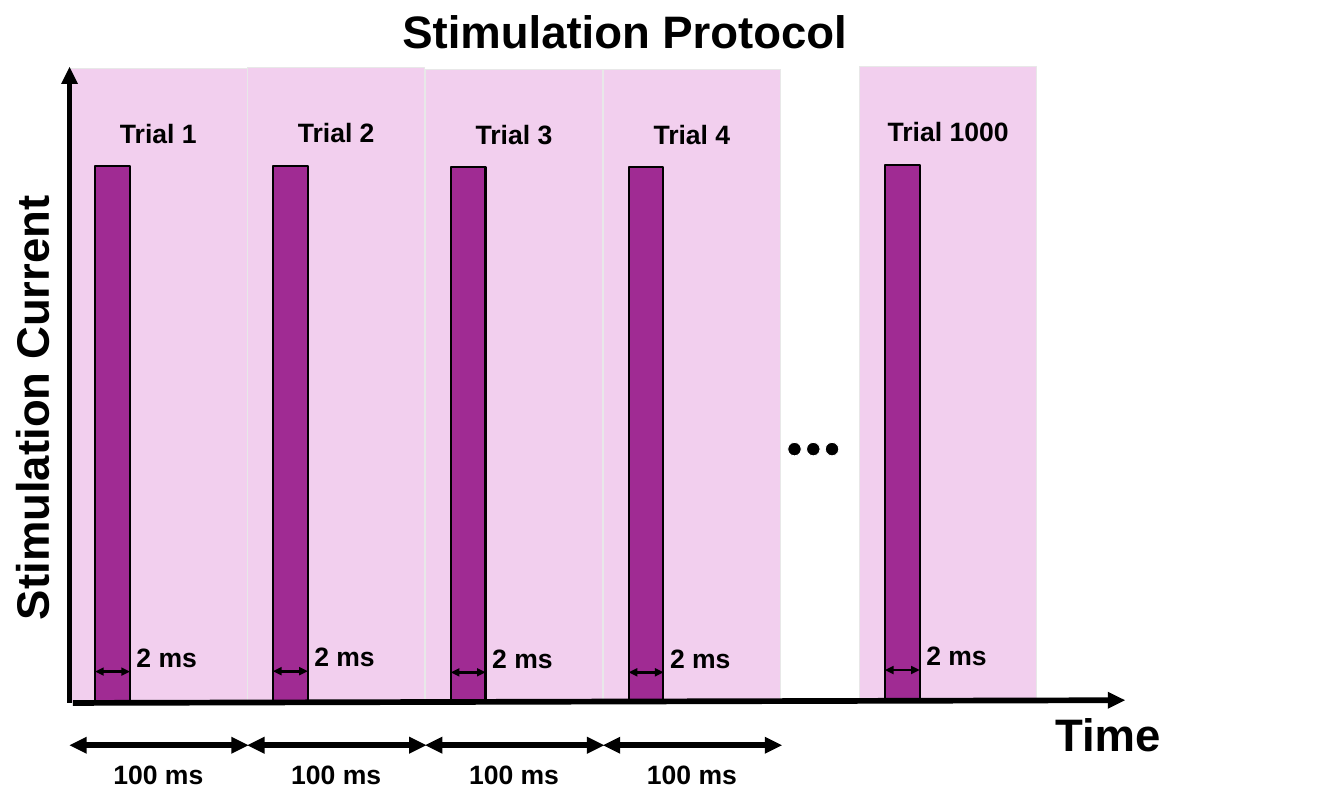
from dataclasses import dataclass
from lxml.etree import SubElement
from pptx import Presentation
from pptx.dml.color import RGBColor as RGB
from pptx.enum.shapes import MSO_CONNECTOR as LINE, MSO_SHAPE as SHAPE
from pptx.enum.text import MSO_ANCHOR as ANCHOR, MSO_AUTO_SIZE as FIT, PP_ALIGN as ALIGN
from pptx.oxml.ns import qn
from pptx.util import Pt

TITLE = "Stimulation Protocol"
CURRENT = "Stimulation Current"
TIME = "Time"
PULSE = "2 ms"
PERIOD = "100 ms"
# label, top of its band
TRIALS = [("Trial 1", 72), ("Trial 2", 71.6), ("Trial 3", 72.8), ("Trial 4", 72.8)]
LAST = ("Trial 1000", 70.4)


@dataclass(frozen=True)
class Theme:
    font: str = "Arial"
    big: int = 48
    small: int = 28
    ink: RGB = RGB(0, 0, 0)
    paper: RGB = RGB(255, 255, 255)
    band: RGB = RGB(0xF2, 0xCF, 0xEE)
    edge: RGB = RGB(0xE8, 0xE8, 0xE8)
    bar: RGB = RGB(0xA0, 0x2B, 0x93)


LOOK = Theme()
WIDE, HIGH = 1417.68, 850.32
LEFT, STEP, BAND, TALL = 73.4, 187.6, 187.2, 669
BAR_X, BAR_Y, BAR_W, BAR_H = 27, 103.5, 36.6, 565.2
LAST_X = 906.5
BASE = 741.6
SPAN_Y = 786.2

deck = Presentation()
deck.slide_width, deck.slide_height = Pt(WIDE), Pt(HIGH)
slide = deck.slides.add_slide(deck.slide_layouts[5])


def place(box, x, y, w, h):
    box.left, box.top, box.width, box.height = Pt(x), Pt(y), Pt(w), Pt(h)


def style(box, text, size):
    frame = box.text_frame
    frame.text = text
    frame.word_wrap = False
    frame.auto_size = FIT.NONE
    frame.vertical_anchor = ANCHOR.TOP
    line = frame.paragraphs[0]
    line.alignment = ALIGN.CENTER
    font = line.runs[0].font
    font.name, font.size, font.bold = LOOK.font, Pt(size), True
    font.color.rgb = LOOK.ink


def label(text, mid, y, w, size=LOOK.small):
    """Add a text box centred on mid."""
    high = 65.5 if size == LOOK.big else 41
    box = slide.shapes.add_textbox(Pt(mid - w / 2), Pt(y), Pt(w), Pt(high))
    style(box, text, size)
    return box


def block(kind, x, y, w, h, fill, edge, width=1):
    item = slide.shapes.add_shape(kind, Pt(x), Pt(y), Pt(w), Pt(h))
    item.shadow.inherit = False
    item.fill.solid()
    item.fill.fore_color.rgb = fill
    item.line.color.rgb = edge
    item.line.width = Pt(width)


def arrow(x1, y1, x2, y2, width=6, both=False):
    item = slide.shapes.add_connector(LINE.STRAIGHT, Pt(x1), Pt(y1), Pt(x2), Pt(y2))
    item.line.color.rgb = LOOK.ink
    item.line.width = Pt(width)
    line = item.line._get_or_add_ln()
    for end in ("a:headEnd", "a:tailEnd") if both else ("a:tailEnd",):
        SubElement(line, qn(end), type="triangle")
    SubElement(item._element.spPr, qn("a:effectLst"))


def trial(name, x, top):
    block(SHAPE.RECTANGLE, x, top, BAND, TALL, LOOK.band, LOOK.edge)
    label(name, x + BAND / 2, top + 47.7, 144)
    bar = x + BAR_X
    block(SHAPE.RECTANGLE, bar, top + BAR_Y, BAR_W, BAR_H, LOOK.bar, LOOK.ink, 2.25)
    arrow(bar, top + 636.5, bar + BAR_W, top + 636.5, 3, both=True)
    label(PULSE, x + 102.4, top + 600.5, 79)


title = slide.shapes.title
place(title, 414.7, 0, 488.9, 65.5)
style(title, TITLE, LOOK.big)

for i, (name, top) in enumerate(TRIALS):
    x = LEFT + i * STEP
    trial(name, x, top)
    arrow(x, SPAN_Y, x + STEP + 1, SPAN_Y, both=True)
    label(PERIOD, x + BAND / 2, 795.6, 111)

for i in range(3):
    block(SHAPE.OVAL, 830.9 + i * 19.8, 466.6, 14.4, 14.4, LOOK.ink, LOOK.paper)

trial(LAST[0], LAST_X, LAST[1])

arrow(LEFT, BASE, LEFT, 70.6)
arrow(LEFT + 3.6, BASE, 1186.6, 738.7)
label(TIME, 1168.6, BASE, 126.7, LOOK.big)
label(CURRENT, 32.8, 397.4, 467.3, LOOK.big).rotation = 270

deck.save("out.pptx")
